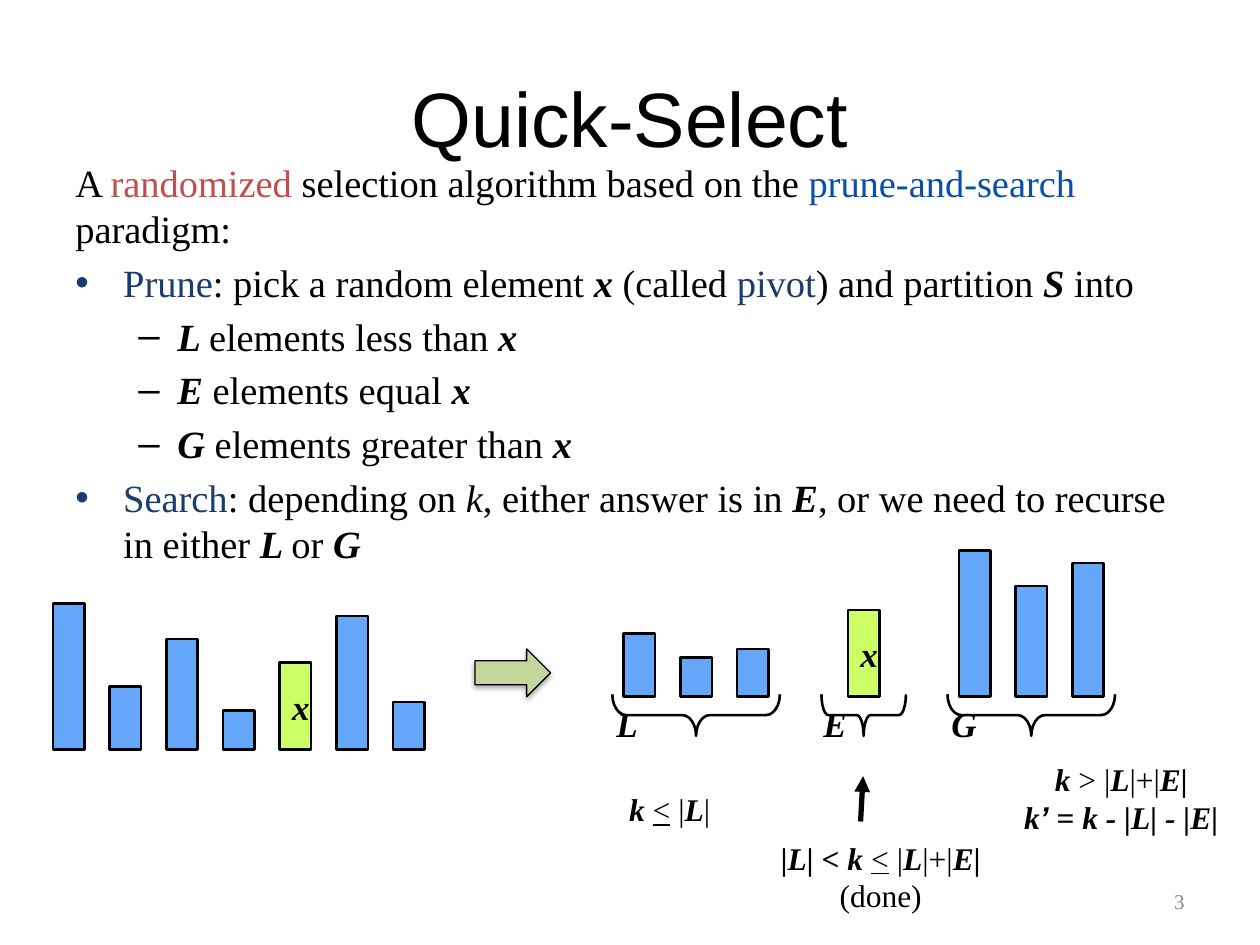
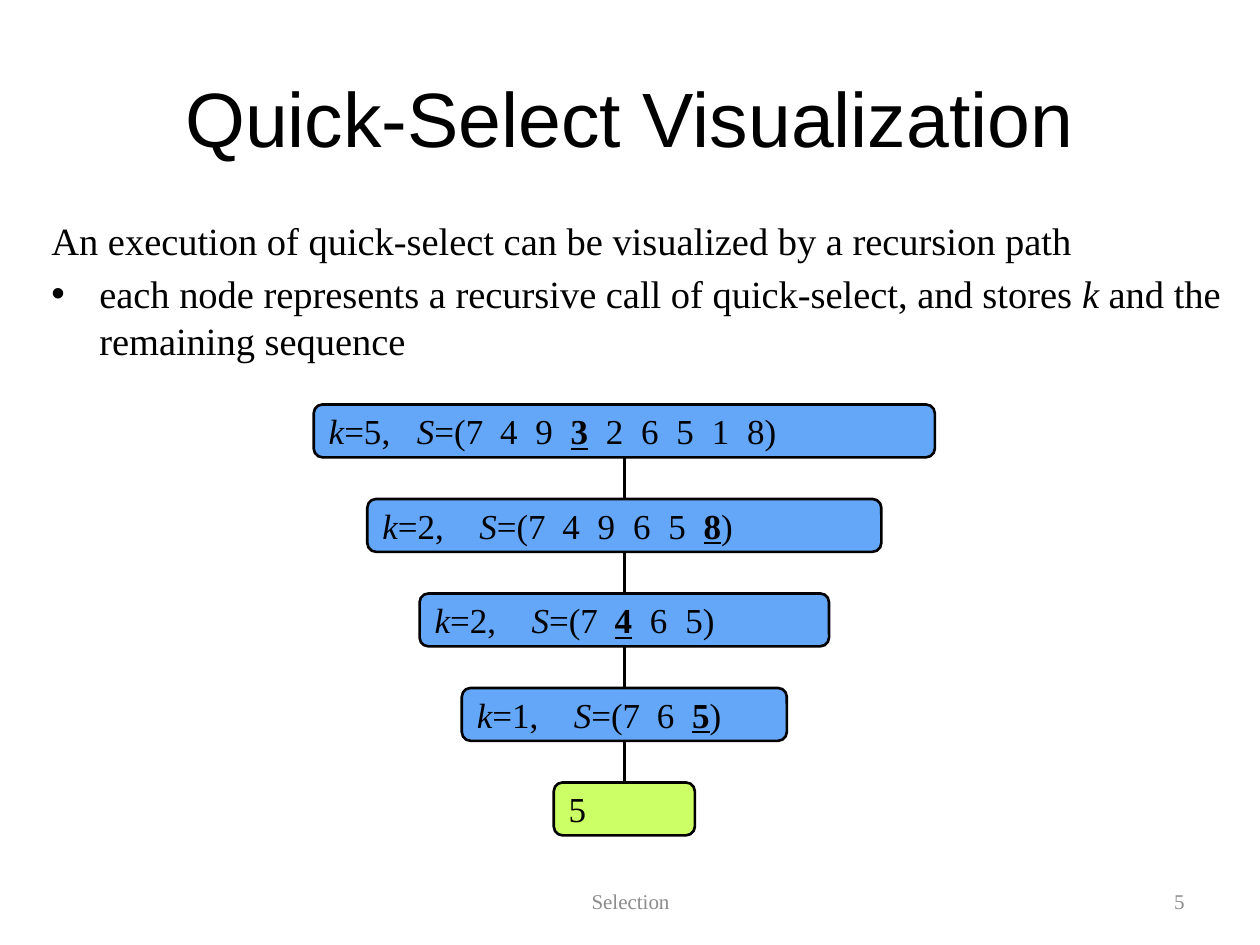
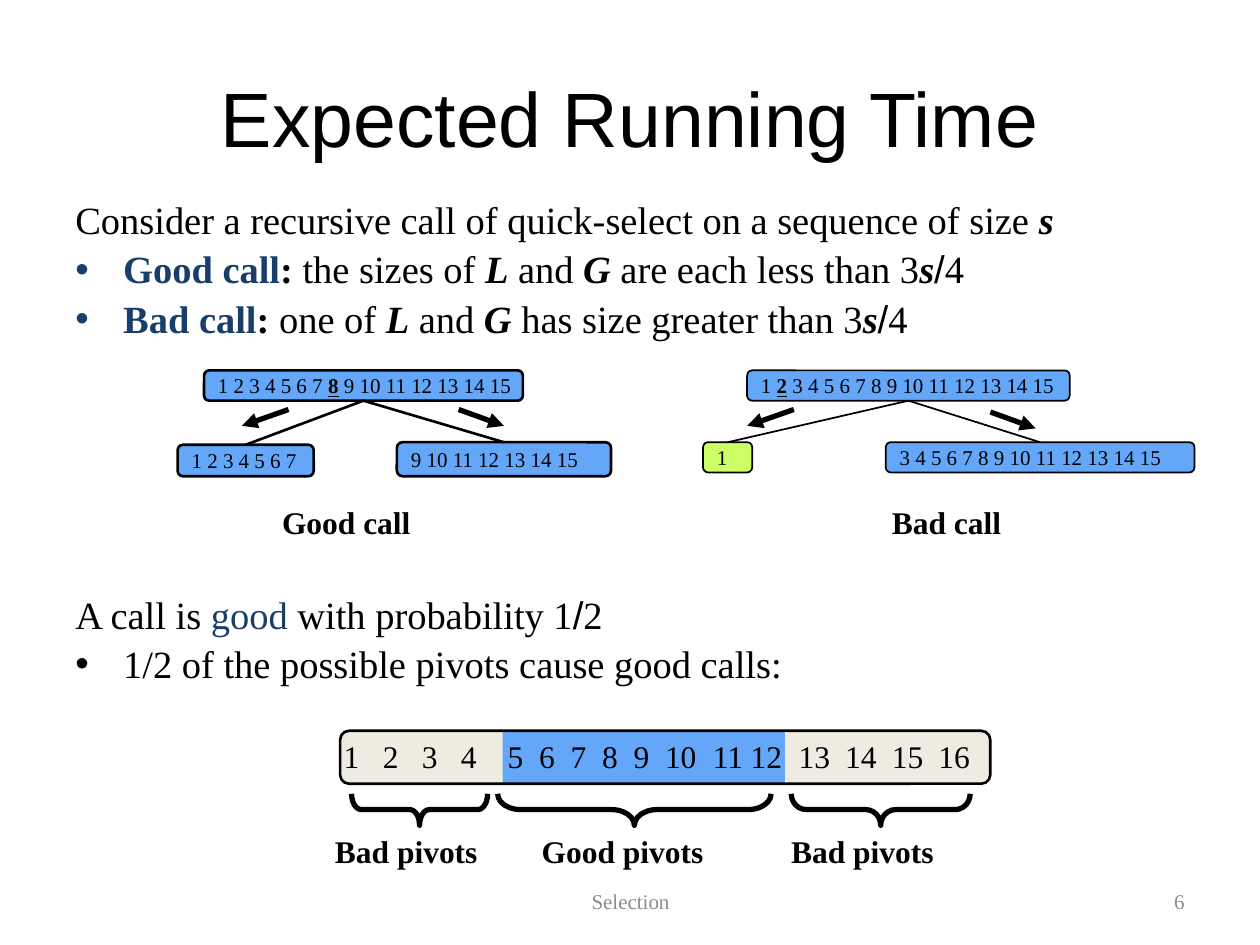
import itertools

import pptx
import pptx.dml.color
import pptx.enum.shapes
import pptx.enum.text
import pptx.oxml
import pptx.oxml.ns
import pptx.util

RGB = pptx.dml.color.RGBColor
SHAPE = pptx.enum.shapes.MSO_SHAPE
ALIGN = pptx.enum.text.PP_ALIGN
ANCHOR = pptx.enum.text.MSO_ANCHOR
Pt = pptx.util.Pt

BLACK = RGB(0x00, 0x00, 0x00)
GREY = RGB(0x8C, 0x8C, 0x8C)
NAVY = RGB(0x1A, 0x3E, 0x6C)
ROYAL = RGB(0x07, 0x4F, 0xA8)
RED = RGB(0xC0, 0x50, 0x4D)
BLUE = RGB(0x64, 0xA7, 0xF9)
LIME = RGB(0xCC, 0xFF, 0x66)
SAGE = RGB(0xC3, 0xD6, 0x9B)
SAND = RGB(0xEE, 0xEC, 0xE1)

COLS, ROWS = 10, 7.5
UNIT = pptx.util.Inches(1)  # one column wide, one row high

SERIF = "Times New Roman"
SANS = "Arial"
STYLES = {
    "b": {"bold": True},
    "i": {"italic": True},
    "u": {"underline": True},
    "bi": {"bold": True, "italic": True},
    "bu": {"bold": True, "underline": True},
    "sans": {"name": SANS},
    "bisans": {"bold": True, "italic": True, "name": SANS},
    "navy": {"color": NAVY},
    "bnavy": {"bold": True, "color": NAVY},
    "royal": {"color": ROYAL},
    "red": {"color": RED},
}
# bullet, level, left margin, hanging indent
LISTS = {"•": (0, 0.38, -0.38), "–": (1, 0.81, -0.31)}


def grid(*lengths):
    return [round(n * UNIT) for n in lengths]


def add_xml(parent, tag, **attributes):
    el = pptx.oxml.parse_xml(f"<a:{tag} {pptx.oxml.ns.nsdecls('a')}/>")
    for key, value in attributes.items():
        el.set(key, str(value))
    parent.append(el)
    return el


def split_runs(text):
    """Yield (words, style) pairs from text marked up as 'plain {style:words} plain'."""
    head, *parts = text.split("{")
    yield head, {}
    for part in parts:
        marked, plain = part.split("}")
        style, words = marked.split(":", 1)
        yield words, STYLES[style]
        yield plain, {}


def write_runs(p, text, size, **base):
    for words, style in split_runs(text):
        if not words:
            continue
        r = p.add_run()
        r.text = words
        fmt = {"name": SERIF, "size": Pt(size), "color": BLACK, **base, **style}
        r.font.color.rgb = fmt.pop("color")
        for key, value in fmt.items():
            setattr(r.font, key, value)


def write(sp, lines, size, align=ALIGN.LEFT, anchor=ANCHOR.MIDDLE, wrap=False,
          tabs=(), **base):
    tf = sp.text_frame
    tf.word_wrap, tf.vertical_anchor = wrap, anchor
    for n, line in enumerate(lines):
        p = tf.add_paragraph() if n else tf.paragraphs[0]
        p.alignment = align
        write_runs(p, line, size, **base)
        if tabs:
            stops = add_xml(p._p.get_or_add_pPr(), "tabLst")
            for stop in tabs:
                add_xml(stops, "tab", pos=grid(stop)[0], algn="l")


def add_text(slide, box, lines, size, **options):
    sp = slide.shapes.add_textbox(*grid(*box))
    write(sp, lines, size, **options)
    return sp


def add_body(slide, box, lines, line_spacing=1.0):
    """Add body text; a line that starts with a list mark becomes a bullet."""
    marks = [line[0] if line[0] in LISTS else "" for line in lines]
    texts = [line[2:] if mark else line for line, mark in zip(lines, marks)]
    sp = add_text(slide, box, texts, 22, anchor=ANCHOR.TOP, wrap=True)
    for p, mark in zip(sp.text_frame.paragraphs, marks):
        p.space_before, p.line_spacing = Pt(4.4), line_spacing
        if mark:
            p.level, margin, hanging = LISTS[mark]
            pPr = p._p.get_or_add_pPr()
            pPr.set("marL", str(grid(margin)[0]))
            pPr.set("indent", str(grid(hanging)[0]))
            add_xml(pPr, "buFont", typeface=SANS)
            add_xml(pPr, "buChar", char=mark)


def add_box(slide, kind, box, fill=None, line=1.5, adjust=None):
    sp = slide.shapes.add_shape(kind, *grid(*box))
    sp.shadow.inherit = False
    if fill is None:
        sp.fill.background()
    else:
        sp.fill.solid()
        sp.fill.fore_color.rgb = fill
    if line:
        sp.line.color.rgb, sp.line.width = BLACK, Pt(line)
    else:
        sp.line.fill.background()
    if adjust is not None:
        sp.adjustments[0] = adjust
    return sp


def add_node(slide, box, text, size, fill=BLUE, line=1.5, tabs=()):
    sp = add_box(slide, SHAPE.ROUNDED_RECTANGLE, box, fill, line, 0.167)
    write(sp, [text], size, tabs=tabs)


def add_line(slide, start, end, width=1.5, arrow=False):
    sp = slide.shapes.add_connector(pptx.enum.shapes.MSO_CONNECTOR.STRAIGHT,
                                    *grid(*start, *end))
    sp.line.color.rgb, sp.line.width = BLACK, Pt(width)
    if arrow:
        add_xml(sp.line._get_or_add_ln(), "tailEnd", type="triangle")
    add_xml(sp._element.spPr, "effectLst")


def add_brace(slide, left, top, width, height, adjust, line=1.5, label=None):
    """Add a brace that opens upward over the given area."""
    box = (left + (width - height) / 2, top + (height - width) / 2, height, width)
    sp = add_box(slide, SHAPE.LEFT_BRACE, box, line=line, adjust=adjust)
    sp.rotation = 270
    if label:
        write(sp, [label], 20, anchor=ANCHOR.TOP, bold=True, italic=True)
        tf = sp.text_frame
        tf.margin_left, tf.margin_top, tf.margin_right, tf.margin_bottom = grid(0.1, 0, 0.6, 0)
        tf._txBody.bodyPr.set("vert", "eaVert")


def add_bars(slide, left, base, heights, pivot=None):
    for n, height in enumerate(heights):
        is_pivot = n == pivot
        sp = add_box(slide, SHAPE.RECTANGLE, (left + 0.45 * n, base - height, 0.25, height),
                     LIME if is_pivot else BLUE)
        if is_pivot:
            write(sp, ["{bi:x}"], 20)


def add_block_arrow(slide, box):
    sp = add_box(slide, SHAPE.RIGHT_ARROW, box, SAGE, 0.75)
    shadow = add_xml(sp._element.spPr.find(pptx.oxml.ns.qn("a:effectLst")), "outerShdw",
                     blurRad=Pt(3.1), dist=Pt(1.8), dir=90 * 60000, rotWithShape=0)
    add_xml(add_xml(shadow, "srgbClr", val=BLACK), "alpha", val=35000)


def add_call_tree(slide, root, children, arrows, line):
    """Join a root node to its children; every node is (box, text, fill)."""
    left, top, width, height = root[0]
    for box, text, fill in (root, *children):
        add_node(slide, box, text, 12, fill, line)
    for (x, y, w, _), _, _ in children:
        add_line(slide, (x + w / 2, y), (left + width / 2, top + height), line)
    for start, end in arrows:
        add_line(slide, start, end, 3, arrow=True)


def new_slide(prs, title, number, footer=None):
    slide = prs.slides.add_slide(prs.slide_layouts[6])
    add_text(slide, (0.5, 0.3, 9, 1.25), [title], 44, align=ALIGN.CENTER, wrap=True, name=SANS)
    add_text(slide, (7.17, 6.95, 2.33, 0.4), [str(number)], 12, align=ALIGN.RIGHT,
             wrap=True, color=GREY)
    if footer:
        add_text(slide, (3.42, 6.95, 3.17, 0.4), [footer], 12, align=ALIGN.CENTER,
                 wrap=True, color=GREY)
    return slide


def quick_select(prs):
    slide = new_slide(prs, "Quick-Select", 3)
    add_body(slide, (0.5, 1.21, 9, 5.49), [
        "A {red:randomized} selection algorithm based on the {royal:prune-and-search }paradigm:",
        "• {navy:Prune}: pick a random element {bi:x} (called {navy:pivot}) "
        "and partition {bi:S} into",
        "– {bi:L }elements less than {bi:x}",
        "– {bi:E }elements equal {bi:x}",
        "– {bi:G }elements greater than {bi:x}",
        "• {navy:Search}: depending on {i:k}, either answer is in {bi:E}, "
        "or we need to recurse in either {bi:L }or {bi:G}",
    ])
    add_bars(slide, 0.42, 5.95, [1.16, 0.5, 0.88, 0.31, 0.69, 1.06, 0.38], pivot=4)
    add_block_arrow(slide, (3.77, 5.15, 0.6, 0.38))

    parts = [
        ("L", 4.95, [0.5, 0.31, 0.38], None, 4.86, 1.33, 0.333),
        ("E", 6.73, [0.69], 0, 6.52, 0.67, 0.167),
        ("G", 7.61, [1.16, 0.88, 1.06], None, 7.52, 1.33, 0.333),
    ]
    for name, left, heights, pivot, brace_left, width, adjust in parts:
        add_bars(slide, left, 5.53, heights, pivot)
        add_brace(slide, brace_left, 5.51, width, 0.33, adjust, label=name)

    add_line(slide, (6.83, 6.52), (6.85, 6.16), 3, arrow=True)
    cases = [
        ((4.88, 6.22, 0.87, 0.4), ["{bi:k }{u:<} |{bi:L}|"]),
        ((6.08, 6.6, 1.82, 0.71), ["{bi:|L| < k }{u:<} |{bi:L}|+|{bi:E|}", "(done)"]),
        ((7.98, 5.98, 1.84, 0.71), ["{bi:k }> |{bi:L}|+|{bi:E|}",
                                    "{bi:k}{bisans:’}{bi: = k - |L| - |E|}"]),
    ]
    for box, lines in cases:
        add_text(slide, box, lines, 18, align=ALIGN.CENTER)


def visualization(prs):
    slide = new_slide(prs, "Quick-Select Visualization", 5, "Selection")
    add_body(slide, (0.31, 1.67, 9.51, 2.17), [
        "An execution of quick-select can be visualized by a recursion path",
        "• each node represents a recursive call of quick-select, and stores {i:k} "
        "and the remaining sequence",
    ])
    center, top, pitch, height = 4.955, 3.21, 0.75, 0.42
    calls = [  # width, start of S, text
        (4.93, 0.7, "{i:k}=5,\t{i:S}=(7\t4\t9\t{bu:3}\t2\t6\t5\t1\t8)"),
        (4.08, 0.77, "{i:k}=2,\t{i:S}=(7\t4\t9\t6\t5\t{bu:8})"),
        (3.25, 0.77, "{i:k}=2,\t{i:S}=(7\t{bu:4}\t6\t5)"),
        (2.58, 0.77, "{i:k}=1,\t{i:S}=(7\t6\t{bu:5})"),
        (1.12, 0, "5"),
    ]
    for n, (width, start, text) in enumerate(calls):
        y = top + n * pitch
        tabs = [start] + [start + 0.66 + 0.28 * i for i in range(text.count("\t") - 1)]
        add_node(slide, (center - width / 2, y, width, height), text, 20,
                 LIME if n == len(calls) - 1 else BLUE, tabs=tabs if start else ())
        if n:
            add_line(slide, (center, y - pitch + height), (center, y))


def pivot_strip(slide):
    top, height = 5.8, 0.42
    for left, width in ((2.7, 1.38), (6.22, 1.63)):
        add_box(slide, SHAPE.ROUNDED_RECTANGLE, (left, top, width, height), SAND, None, 0.167)
    add_box(slide, SHAPE.RECTANGLE, (3.99, top, 2.24, height), BLUE, None)
    add_box(slide, SHAPE.ROUNDED_RECTANGLE, (2.7, top, 5.16, height), adjust=0.167)

    steps = [0.31] * 3 + [0.37] + [0.25] * 5 + [0.38, 0.3, 0.38] + [0.37] * 3
    add_text(slide, (2.63, top, 5.37, 0.4), ["\t".join(str(n) for n in range(1, 17))], 18,
             anchor=ANCHOR.TOP, wrap=True, tabs=list(itertools.accumulate(steps)))

    labels = [("Bad pivots", 2.56, 1.52, 2.79, 1.08, 0.306),
              ("Good pivots", 4.2, 1.69, 3.95, 2.17, 0.722),
              ("Bad pivots", 6.18, 1.52, 6.28, 1.42, 0.472)]
    for text, left, width, brace_left, brace_width, adjust in labels:
        add_brace(slide, brace_left, 6.3, brace_width, 0.25, adjust, 3)
        add_text(slide, (left, 6.55, width, 0.4), [text], 18, bold=True)


def running_time(prs):
    slide = new_slide(prs, "Expected Running Time", 6, "Selection")
    add_body(slide, (0.5, 1.55, 9, 1.3), [
        "Consider a recursive call of quick-select on a sequence of size {bi:s}",
        "• {bnavy:Good call}{b::} the sizes of {bi:L} and {bi:G} "
        "are each less than 3{bi:s}{sans:/}4",
        "• {bnavy:Bad call}{b::} one of {bi:L} and {bi:G} "
        "has size greater than 3{bi:s}{sans:/}4",
    ], 0.9)
    add_body(slide, (0.5, 4.68, 9, 0.9), [
        "A call is {navy:good} with probability 1{sans:/}2",
        "• 1/2 of the possible pivots cause good calls:",
    ], 0.9)
    add_call_tree(
        slide, ((1.62, 2.94, 2.53, 0.24), "1 2 3 4 5 6 7 {bu:8} 9 10 11 12 13 14 15", BLUE),
        [((1.41, 3.53, 1.08, 0.25), "1 2 3 4 5 6 7", BLUE),
         ((3.15, 3.51, 1.7, 0.27), "9 10 11 12 13 14 15", BLUE)],
        [((2.29, 3.25), (1.92, 3.38)), ((3.64, 3.25), (4, 3.38))], 1.5)
    add_call_tree(
        slide, ((5.93, 2.94, 2.56, 0.24), "1 {bu:2} 3 4 5 6 7 8 9 10 11 12 13 14 15", BLUE),
        [((5.58, 3.51, 0.39, 0.24), "1", LIME),
         ((7.03, 3.51, 2.45, 0.24), "3 4 5 6 7 8 9 10 11 12 13 14 15", BLUE)],
        [((6.3, 3.25), (5.93, 3.38)), ((7.86, 3.27), (8.22, 3.4))], 1)
    for text, left, width in (("Good call", 2.14, 1.36), ("Bad call", 6.98, 1.18)):
        add_text(slide, (left, 3.94, width, 0.4), [text], 18, bold=True)
    pivot_strip(slide)


def main():
    prs = pptx.Presentation()
    prs.slide_width, prs.slide_height = grid(COLS, ROWS)
    quick_select(prs)
    visualization(prs)
    running_time(prs)
    prs.save("out.pptx")


if __name__ == "__main__":
    main()
